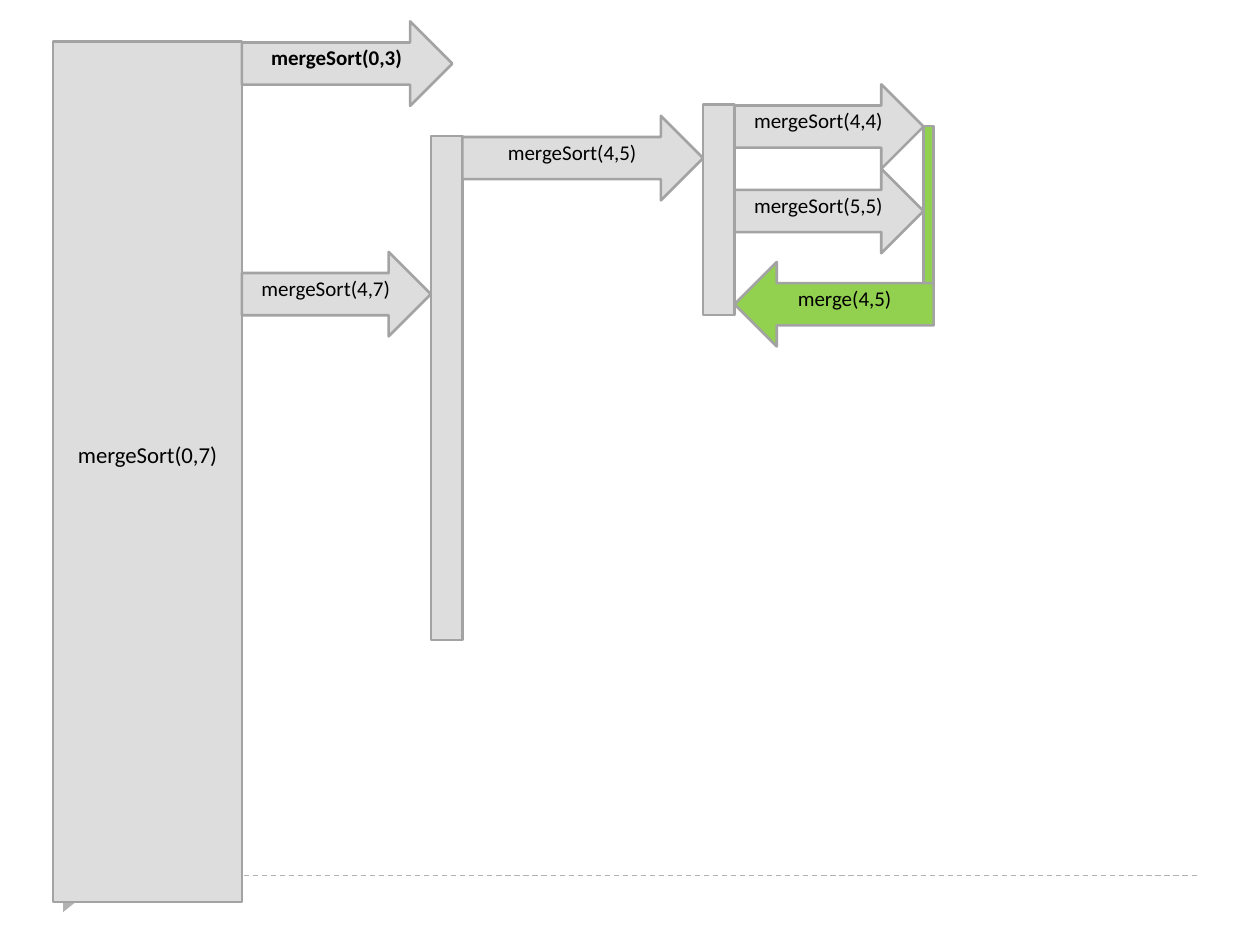
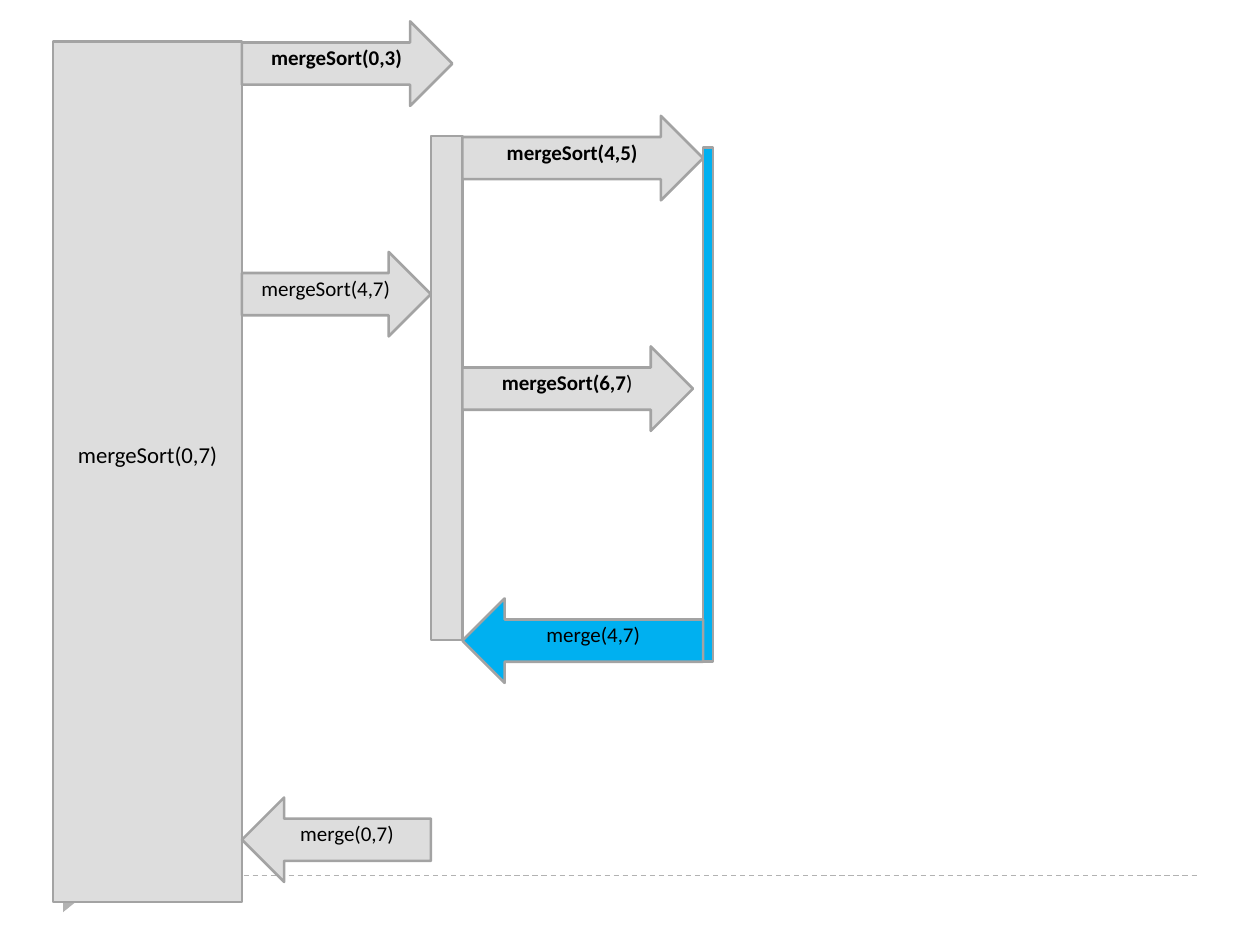
from lxml import etree
from pptx import Presentation
from pptx.dml.color import RGBColor
from pptx.enum.dml import MSO_LINE_DASH_STYLE as Dash
from pptx.enum.shapes import MSO_CONNECTOR as Connector, MSO_SHAPE as Shape
from pptx.enum.text import MSO_ANCHOR as Anchor, PP_ALIGN as Align
from pptx.oxml.ns import qn
from pptx.util import Inches, Pt

GRAY, GREEN, BLUE = "DDDDDD", "92D050", "00B0F0"
OUTLINE, FOOTER, BLACK = "A3A3A3", "B2B2B2", "000000"
FONT = "Calibri"

# Left and right edges of the bars, one per recursion level
ROOT_LEFT, ROOT_RIGHT = 0.42, 1.92
HALF_LEFT, HALF_RIGHT = 3.42, 3.67
QUARTER_LEFT, QUARTER_RIGHT = 5.58, 5.83
LEAF_LEFT = 7.33
MERGE_BAR_WIDTH = 0.08
ARROW_HEIGHT = 0.67


def color(hex_string):
    return RGBColor.from_string(hex_string)


class CallDiagram:
    def __init__(self):
        self.presentation = Presentation()
        self.presentation.slide_width = Inches(10)
        self.presentation.slide_height = Inches(7.5)
        self.slide = None

    def new_slide(self):
        blank_layout = self.presentation.slide_layouts[6]
        self.slide = self.presentation.slides.add_slide(blank_layout)
        self.footer()

    def footer(self):
        line = self.slide.shapes.add_connector(
            Connector.STRAIGHT, Inches(0.5), Inches(6.95), Inches(9.5), Inches(6.95))
        line.line.color.rgb = color(FOOTER)
        line.line.width = Pt(0.75)
        line.line.dash_style = Dash.DASH
        etree.SubElement(line._element.spPr, qn("a:effectLst"))
        marker = self.shape(Shape.ISOSCELES_TRIANGLE, 0.46, 7.07, 0.21, 0.13, FOOTER)
        marker.rotation = 90
        marker.line.fill.background()

    def shape(self, kind, left, top, width, height, fill):
        shape = self.slide.shapes.add_shape(
            kind, Inches(left), Inches(top), Inches(width), Inches(height))
        shape.shadow.inherit = False
        shape.fill.solid()
        shape.fill.fore_color.rgb = color(fill)
        shape.line.color.rgb = color(OUTLINE)
        shape.line.width = Pt(1.5)
        return shape

    def label(self, shape, runs, size, bottom_margin):
        """Centre (text, bold) runs, raised by half the bottom margin."""
        frame = shape.text_frame
        frame.word_wrap = False
        frame.vertical_anchor = Anchor.MIDDLE
        frame.margin_left = frame.margin_right = frame.margin_top = 0
        frame.margin_bottom = Inches(bottom_margin)
        paragraph = frame.paragraphs[0]
        paragraph.alignment = Align.CENTER
        for text, bold in runs:
            run = paragraph.add_run()
            run.text = text
            run.font.name = FONT
            run.font.size = Pt(size)
            run.font.bold = bold
            run.font.color.rgb = color(BLACK)

    def bar(self, left, top, width, height, fill=GRAY):
        return self.shape(Shape.RECTANGLE, left, top, width, height, fill)

    def arrow(self, kind, left, right, top, runs, fill):
        shape = self.shape(kind, left, top, right - left, ARROW_HEIGHT, fill)
        self.label(shape, runs, 12, 0.1)

    def call(self, left, right, top, *runs):
        self.arrow(Shape.RIGHT_ARROW, left, right, top, runs, GRAY)

    def merge(self, left, right, top, text, fill=GRAY):
        self.arrow(Shape.LEFT_ARROW, left, right, top, [(text, False)], fill)

    def upper_levels(self, first_quarter_done):
        """Draw the calls that both slides show."""
        root = self.bar(ROOT_LEFT, 0.33, ROOT_RIGHT - ROOT_LEFT, 6.83)
        self.label(root, [("mergeSort(0,7)", False)], 13, 0.28)
        self.call(ROOT_RIGHT, 3.59, 0.17, ("mergeSort(0,3)", True))
        self.call(ROOT_RIGHT, HALF_LEFT, 2, ("mergeSort(4,7)", False))
        self.bar(HALF_LEFT, 1.08, HALF_RIGHT - HALF_LEFT, 4)
        self.call(HALF_RIGHT, QUARTER_LEFT, 0.92, ("mergeSort(4,5)", first_quarter_done))


def add_first_quarter(diagram):
    diagram.new_slide()
    diagram.bar(LEAF_LEFT, 1, MERGE_BAR_WIDTH, 1.58, GREEN)
    diagram.upper_levels(first_quarter_done=False)
    diagram.bar(QUARTER_LEFT, 0.83, QUARTER_RIGHT - QUARTER_LEFT, 1.67)
    for index in (4, 5):
        top = 0.67 + (index - 4) * ARROW_HEIGHT
        diagram.call(QUARTER_RIGHT, LEAF_LEFT, top, (f"mergeSort({index},{index})", False))
    diagram.merge(QUARTER_RIGHT, LEAF_LEFT + MERGE_BAR_WIDTH, 2.08, "merge(4,5)", GREEN)


def add_second_half_merge(diagram):
    diagram.new_slide()
    diagram.bar(QUARTER_LEFT, 1.17, MERGE_BAR_WIDTH, 4.08, BLUE)
    diagram.upper_levels(first_quarter_done=True)
    diagram.merge(ROOT_RIGHT, HALF_LEFT, 6.33, "merge(0,7)")
    diagram.call(HALF_RIGHT, 5.5, 2.75, ("mergeSort(6,7", True), (")", False))
    diagram.merge(HALF_RIGHT, QUARTER_LEFT, 4.75, "merge(4,7)", BLUE)


def main():
    diagram = CallDiagram()
    add_first_quarter(diagram)
    add_second_half_merge(diagram)
    diagram.presentation.save("out.pptx")


if __name__ == "__main__":
    main()
